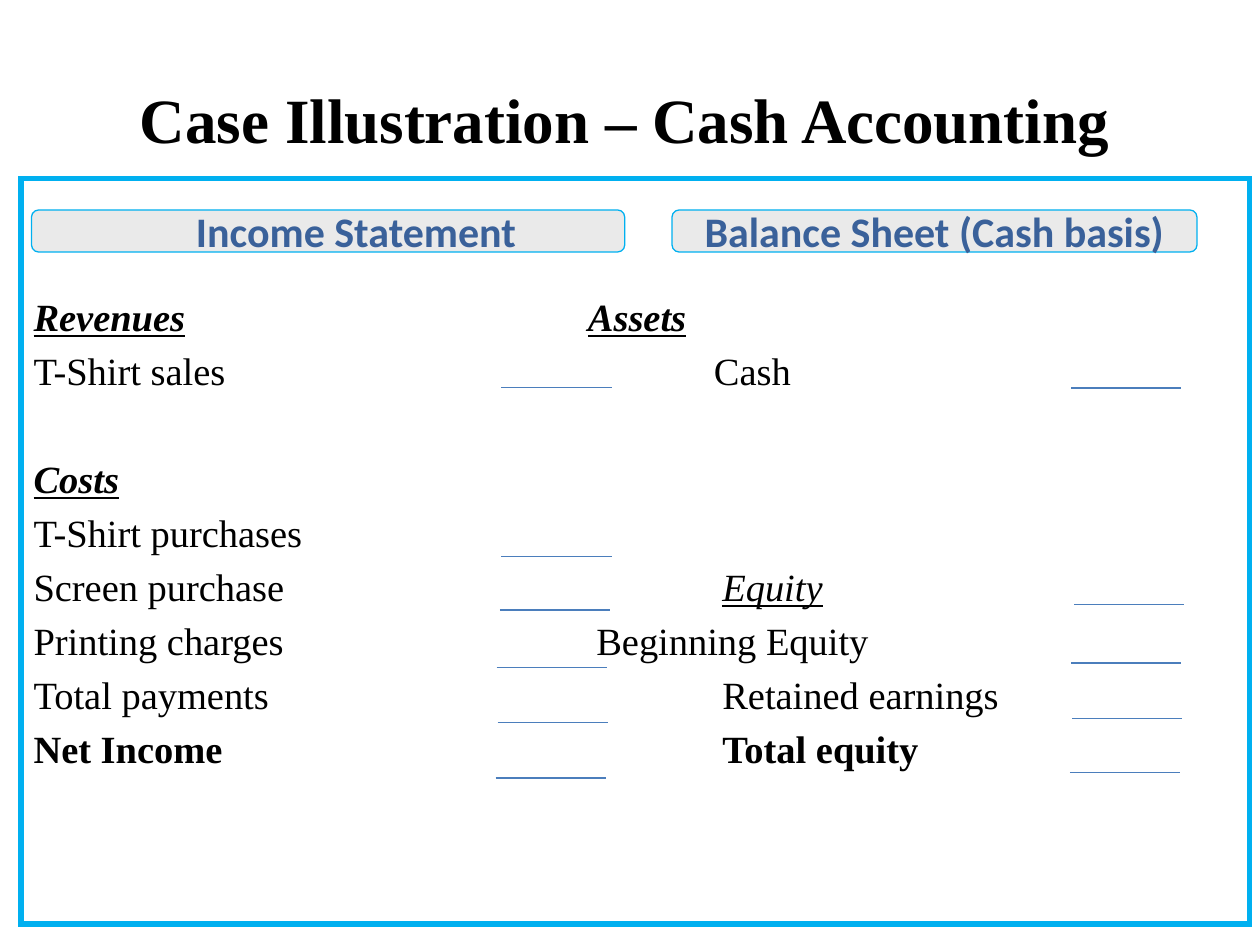
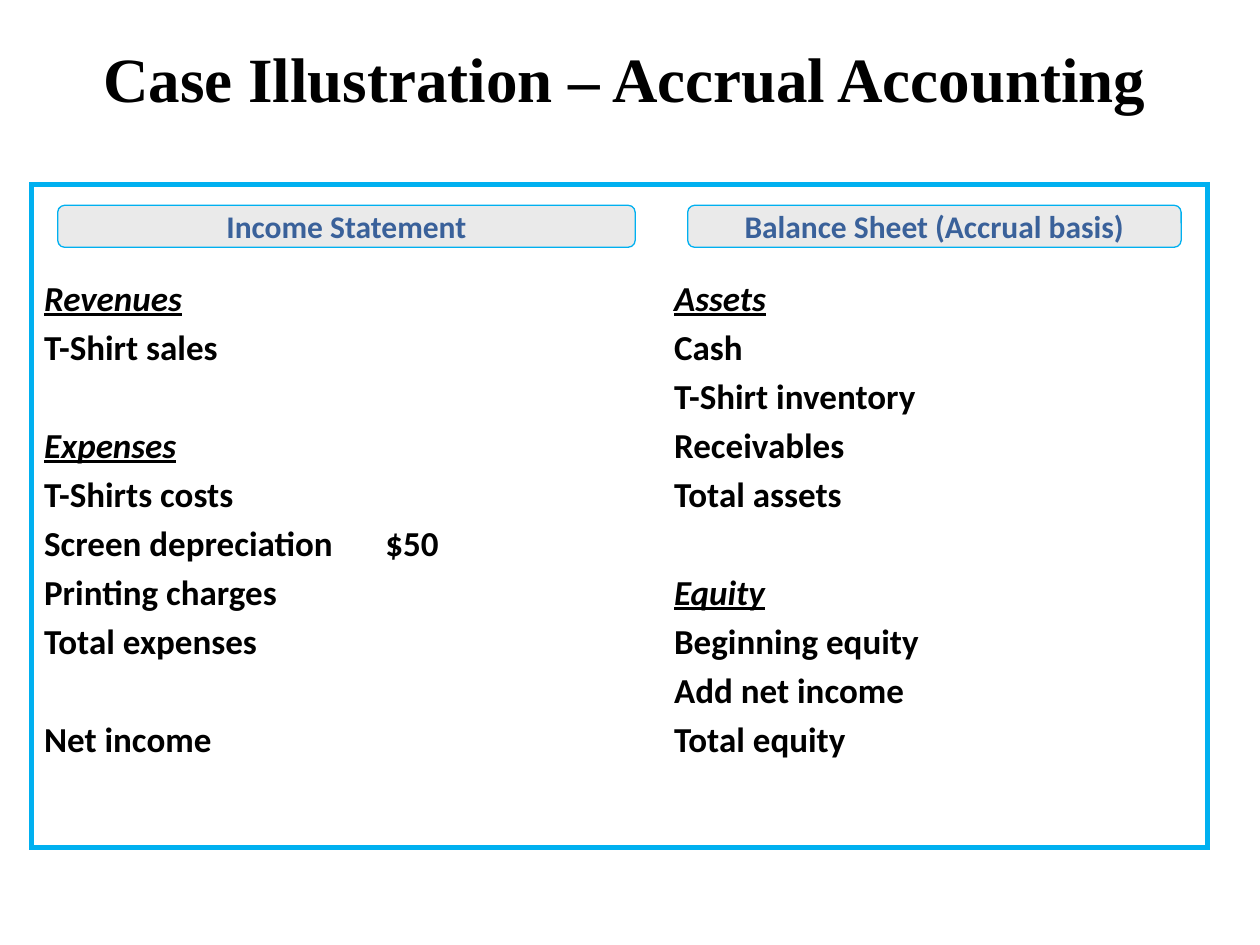
from dataclasses import dataclass
from typing import NamedTuple

from lxml.etree import SubElement
from pptx import Presentation
from pptx.dml.color import RGBColor
from pptx.enum.shapes import MSO_CONNECTOR, MSO_SHAPE
from pptx.enum.text import MSO_ANCHOR, MSO_AUTO_SIZE, PP_ALIGN
from pptx.oxml.ns import qn
from pptx.util import Emu, Inches, Pt

SLIDE_W, SLIDE_H = Inches(10), Inches(7.5)
COLUMNS = 120  # square grid cells: 120 columns by 90 rows
CELL = SLIDE_W / COLUMNS
INSET = 1.2
RULE_LENGTH = 10.5
TWO_CONTENT = 3


@dataclass(frozen=True)
class Theme:
    ink: str = "000000"
    paper: str = "FFFFFF"
    frame: str = "00B0F0"
    band: str = "EAEAEA"
    band_text: str = "3A619A"
    rule: str = "4B7EBC"
    serif: str = "Times New Roman"
    sans: str = "Calibri"
    title_size: float = 36
    frame_width: float = 3
    thin: float = 0.75
    hairline: float = 0.25


THEME = Theme()


class Box(NamedTuple):
    x: float
    y: float
    w: float
    h: float


class Entry(NamedTuple):
    text: str
    style: str = ""  # any of b, i, u
    indent: float = 0
    gap: int = 0  # empty lines above


class Band(NamedTuple):
    text: str
    box: Box
    indent: float = 0


class Rule(NamedTuple):
    x: float
    y: float


@dataclass(frozen=True)
class Statement:
    title: str
    title_box: Box
    frame: Box
    right_offset: float  # from the left text edge to the right column
    top_inset: float
    font: str
    size: float
    space: float  # points between lines
    pitch: float  # points from line to line
    band_size: float
    bands: tuple[Band, ...]
    left: tuple[Entry, ...]
    right: tuple[Entry, ...]
    rules: tuple[Rule, ...] = ()
    title_filled: bool = False


def cells(n: float) -> Emu:
    return Emu(round(n * CELL))


def place(shape, box: Box) -> None:
    shape.left, shape.top, shape.width, shape.height = map(cells, box)


def paint(shape, fill: str, line: str, width: float) -> None:
    shape.fill.solid()
    shape.fill.fore_color.rgb = RGBColor.from_string(fill)
    shape.line.color.rgb = RGBColor.from_string(line)
    shape.line.width = Pt(width)


def set_frame(tf, anchor, left: float = INSET, top: float = 0) -> None:
    tf.word_wrap, tf.auto_size, tf.vertical_anchor = True, MSO_AUTO_SIZE.NONE, anchor
    tf.margin_left, tf.margin_top = cells(left), cells(top)
    tf.margin_right, tf.margin_bottom = cells(INSET), 0


def write(p, text: str, *, font: str, size: float, color: str = THEME.ink, style: str = "") -> None:
    r = p.add_run()
    r.text = text
    f = r.font
    f.name, f.size = font, Pt(size)
    f.bold, f.italic, f.underline = ("b" in style), ("i" in style), ("u" in style)
    f.color.rgb = RGBColor.from_string(color)


def indent_without_bullet(p, indent: float) -> None:
    pPr = p._p.get_or_add_pPr()
    pPr.set("marL", str(cells(indent)))
    pPr.set("indent", "0")
    SubElement(pPr, qn("a:buNone"))


def draw_title(s, st: Statement) -> None:
    sp = s.shapes.title
    place(sp, st.title_box)
    if st.title_filled:
        paint(sp, THEME.paper, THEME.paper, THEME.hairline)
    set_frame(sp.text_frame, MSO_ANCHOR.MIDDLE)
    p = sp.text_frame.paragraphs[0]
    p.alignment, p.space_before = PP_ALIGN.CENTER, Pt(0)
    write(p, st.title, font=THEME.serif, size=THEME.title_size, style="b")


def draw_list(sp, box: Box, entries: tuple[Entry, ...], st: Statement) -> None:
    place(sp, box)
    tf = sp.text_frame
    set_frame(tf, MSO_ANCHOR.TOP, top=st.top_inset)
    for i, e in enumerate(entries):
        p = tf.add_paragraph() if i else tf.paragraphs[0]
        indent_without_bullet(p, e.indent)
        p.alignment = PP_ALIGN.LEFT
        p.space_before = Pt(st.space + e.gap * st.pitch if i else 0)
        write(p, e.text, font=st.font, size=st.size, style=e.style)


def draw_lists(s, st: Statement) -> None:
    """The left list carries the frame; the right list lies inside it."""
    left, right = s.placeholders[1], s.placeholders[2]
    paint(left, THEME.paper, THEME.frame, THEME.frame_width)
    SubElement(left.line._get_or_add_ln(), qn("a:miter"), lim="800000")
    x, y, w, h = st.frame
    draw_list(left, st.frame, st.left, st)
    draw_list(right, Box(x + st.right_offset, y, w - st.right_offset, h), st.right, st)


def draw_band(s, band: Band, size: float) -> None:
    sp = s.shapes.add_shape(MSO_SHAPE.ROUNDED_RECTANGLE, *map(cells, band.box))
    sp.shadow.inherit = False
    paint(sp, THEME.band, THEME.frame, THEME.thin)
    set_frame(sp.text_frame, MSO_ANCHOR.MIDDLE, left=INSET + band.indent)
    p = sp.text_frame.paragraphs[0]
    p.alignment = PP_ALIGN.CENTER
    write(p, band.text, font=THEME.sans, size=size, color=THEME.band_text, style="b")


def draw_rule(s, rule: Rule) -> None:
    y = cells(rule.y)
    line = s.shapes.add_connector(MSO_CONNECTOR.STRAIGHT, cells(rule.x), y, cells(rule.x + RULE_LENGTH), y)
    line.line.color.rgb = RGBColor.from_string(THEME.rule)
    line.line.width = Pt(THEME.thin)
    SubElement(line._element.spPr, qn("a:effectLst"))


def draw_statement(prs, st: Statement) -> None:
    s = prs.slides.add_slide(prs.slide_layouts[TWO_CONTENT])
    draw_title(s, st)
    draw_lists(s, st)
    for band in st.bands:
        draw_band(s, band, st.band_size)
    for rule in st.rules:
        draw_rule(s, rule)


CASH = Statement(
    title="Case Illustration – Cash Accounting",
    title_box=Box(5, 7, 109, 8.5),
    title_filled=True,
    frame=Box(2, 17, 117, 71),
    right_offset=52.8,
    top_inset=10.9,
    font=THEME.serif, size=22, space=4.5, pitch=30.8, band_size=24,
    bands=(
        Band("Income Statement", Box(3, 20, 56.5, 4), indent=5.3),
        Band("Balance Sheet (Cash basis)", Box(64, 20, 50, 4)),
    ),
    left=(
        Entry("Revenues", "biu"),
        Entry("T-Shirt sales"),
        Entry("Costs", "biu", gap=1),
        Entry("T-Shirt purchases"),
        Entry("Screen purchase"),
        Entry("Printing charges"),
        Entry("Total payments"),
        Entry("Net Income", "b"),
    ),
    right=(
        Entry("Assets", "biu"),
        Entry("Cash", indent=12),
        Entry("Equity", "iu", indent=12.8, gap=3),
        Entry("Beginning Equity", indent=0.8),
        Entry("Retained earnings", indent=12.8),
        Entry("Total equity", "b", indent=12.8),
    ),
    rules=(
        Rule(47.75, 36.9), Rule(47.75, 53), Rule(47.6, 58.1),
        Rule(47.3, 63.6), Rule(47.4, 68.8), Rule(47.2, 74.1),
        Rule(102, 36.95), Rule(102.3, 57.6), Rule(102, 63.15),
        Rule(102.1, 68.4), Rule(101.9, 73.6),
    ),
)

BALANCE = 27.5  # from the amounts to the balance sheet
ACCRUAL = Statement(
    title="Case Illustration – Accrual Accounting",
    title_box=Box(4, 2.9, 111, 9),
    frame=Box(3, 17.6, 112, 63.1),
    right_offset=32.5,
    top_inset=8.7,
    font=THEME.sans, size=20, space=4, pitch=28, band_size=18,
    bands=(
        Band("Income Statement", Box(5.5, 19.55, 55, 4)),
        Band("Balance Sheet (Accrual basis)", Box(65.5, 19.55, 47, 4)),
    ),
    left=(
        Entry("Revenues", "biu"),
        Entry("T-Shirt sales", "b"),
        Entry("Expenses", "biu", gap=1),
        Entry("T-Shirts costs", "b"),
        Entry("Screen depreciation", "b"),
        Entry("Printing charges", "b"),
        Entry("Total expenses", "b"),
        Entry("Net income", "b", gap=1),
    ),
    right=(
        Entry("Assets", "biu", BALANCE),
        Entry("Cash", "b", BALANCE),
        Entry("T-Shirt inventory", "b", BALANCE),
        Entry("Receivables", "b", BALANCE),
        Entry("Total assets", "b", BALANCE),
        Entry("$50", "b"),
        Entry("Equity", "biu", BALANCE),
        Entry("Beginning equity", "b", BALANCE),
        Entry("Add net income", "b", BALANCE),
        Entry("Total equity", "b", BALANCE),
    ),
)


def main() -> None:
    prs = Presentation()
    prs.slide_width, prs.slide_height = SLIDE_W, SLIDE_H
    for st in (CASH, ACCRUAL):
        draw_statement(prs, st)
    prs.save("out.pptx")


if __name__ == "__main__":
    main()
